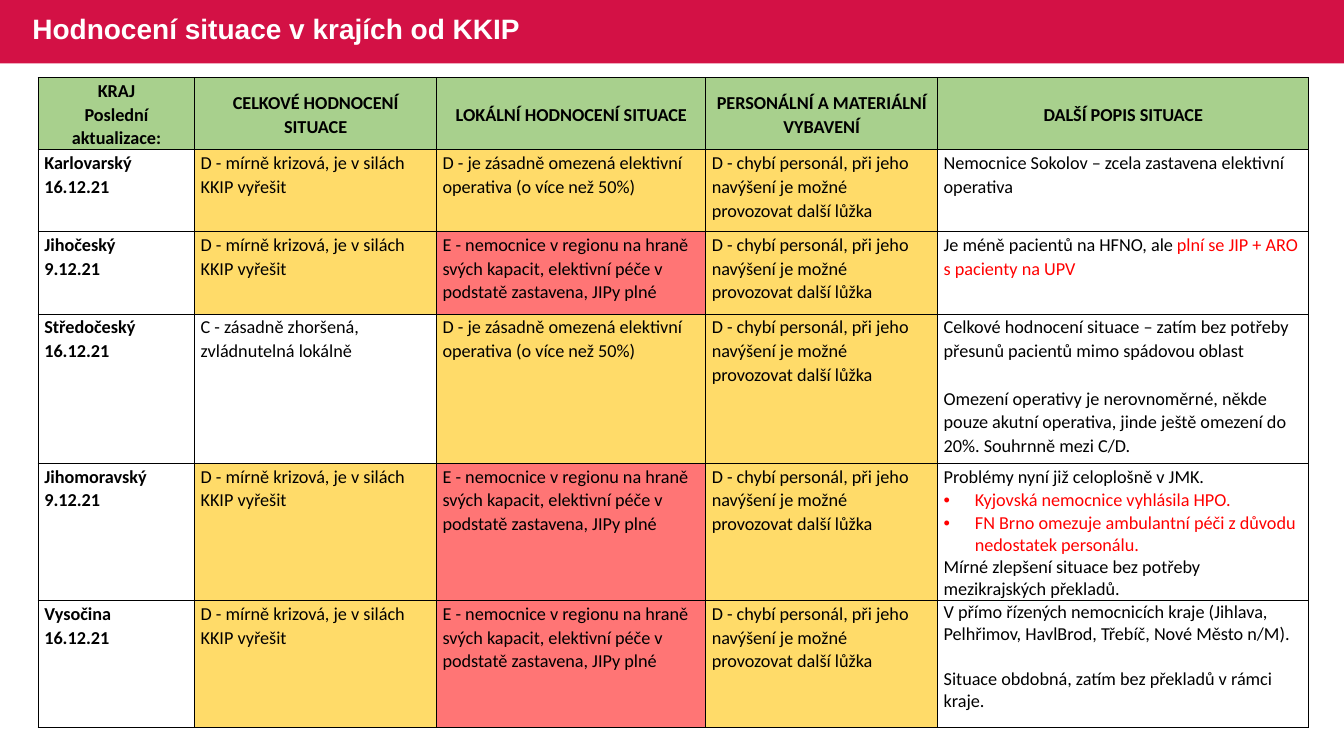
from lxml import etree
from pptx import Presentation
from pptx import util as u
from pptx.dml.color import RGBColor
from pptx.enum import shapes, text
from pptx.oxml import ns

CRIMSON = RGBColor(0xD3, 0x11, 0x45)
GREEN = RGBColor(0xA8, 0xD0, 0x8D)
AMBER = RGBColor(0xFF, 0xDB, 0x69)
CORAL = RGBColor(0xFF, 0x75, 0x75)
RED = RGBColor(0xFF, 0x00, 0x00)
BLACK = RGBColor(0x00, 0x00, 0x00)
WHITE = RGBColor(0xFF, 0xFF, 0xFF)

# Rating scale: the first letter of a rating sets the cell colour
SCALE = {"C": WHITE, "D": AMBER, "E": CORAL}
MILD = "D - mírně krizová, je v silách KKIP vyřešit"
WORSE = "C - zásadně zhoršená, zvládnutelná lokálně"
LIMIT = "D - je zásadně omezená elektivní operativa (o více než 50%)"
EDGE = ("E - nemocnice v regionu na hraně svých kapacit, elektivní péče v "
        "podstatě zastavena, JIPy plné")
STAFF = ("D - chybí personál, při jeho navýšení je možné provozovat "
         "další lůžka")

COLS = [1.55, 2.4, 2.67, 2.3, 3.68]
ROWS = [0.66, 0.81, 0.82, 1.48, 1.24, 1.26]
HEADS = [["KRAJ", "Poslední aktualizace:"],
         ["CELKOVÉ HODNOCENÍ SITUACE"],
         ["LOKÁLNÍ HODNOCENÍ SITUACE"],
         ["PERSONÁLNÍ A MATERIÁLNÍ VYBAVENÍ"],
         ["DALŠÍ POPIS SITUACE"]]

# Region, date, overall and local rating, notes as (text, format)
REGIONS = [
    ("Karlovarský", "16.12.21", MILD, LIMIT, [
        ("Nemocnice Sokolov – zcela zastavena elektivní operativa", {})]),
    ("Jihočeský", "9.12.21", MILD, EDGE, [
        ("Je méně pacientů na HFNO, ale ", {}),
        ("plní se JIP + ARO s pacienty na UPV",
         dict(color=RED, join=True))]),
    ("Středočeský", "16.12.21", WORSE, LIMIT, [
        ("Celkové hodnocení situace – zatím bez potřeby přesunů pacientů "
         "mimo spádovou oblast", {}),
        ("Omezení operativy je nerovnoměrné, někde pouze akutní operativa, "
         "jinde ještě omezení do 20%. Souhrnně mezi C/D.",
         dict(before=17))]),
    ("Jihomoravský", "9.12.21", MILD, EDGE, [
        ("Problémy nyní již celoplošně v JMK.", {}),
        ("Kyjovská nemocnice vyhlásila HPO.", dict(color=RED, bullet=True)),
        ("FN Brno omezuje ambulantní péči z důvodu nedostatek personálu.",
         dict(color=RED, bullet=True, lines=1.0)),
        ("Mírné zlepšení situace bez potřeby mezikrajských překladů.",
         dict(lines=1.0))]),
    ("Vysočina", "16.12.21", MILD, EDGE, [
        ("V přímo řízených nemocnicích kraje (Jihlava, Pelhřimov, HavlBrod, "
         "Třebíč, Nové Město n/M).", dict(lines=1.0)),
        ("Situace obdobná, zatím bez překladů v rámci kraje.",
         dict(lines=1.0, before=16))]),
]


def write(frame, words, size=13, face="Calibri", color=BLACK, bold=False,
          align=text.PP_ALIGN.LEFT, lines=1.07, before=0, bullet=False,
          join=False):
    """Add a paragraph, or with join a run to the last paragraph."""
    par = frame.paragraphs[-1]
    if not join:
        if par.runs:
            par = frame.add_paragraph()
        if bullet:
            props = par._p.get_or_add_pPr()
            props.set("marL", str(u.Inches(0.31)))
            props.set("indent", str(-u.Inches(0.31)))
            font = etree.SubElement(props, ns.qn("a:buFont"))
            font.set("typeface", "Arial")
            etree.SubElement(props, ns.qn("a:buChar")).set("char", "•")
        par.alignment = align
        par.line_spacing = lines
        if before:
            par.space_before = u.Pt(before)
    run = par.add_run()
    run.text = words
    run.font.size = u.Pt(size)
    run.font.name = face
    run.font.bold = bold
    run.font.color.rgb = color


def style(cell, fill):
    """Set margins, black borders and fill of a cell."""
    cell.margin_left = cell.margin_right = u.Inches(0.06)
    cell.margin_top, cell.margin_bottom = u.Inches(0.01), 0
    props = cell._tc.get_or_add_tcPr()
    for side in ("lnL", "lnR", "lnT", "lnB"):
        line = etree.SubElement(props, ns.qn("a:" + side), w=str(u.Pt(1)))
        paint = etree.SubElement(line, ns.qn("a:solidFill"))
        etree.SubElement(paint, ns.qn("a:srgbClr"), val=str(BLACK))
    cell.fill.solid()
    cell.fill.fore_color.rgb = fill


def banner(slide, left, top, width, height):
    """Coloured bar with the slide title."""
    bar = slide.shapes.add_shape(shapes.MSO_SHAPE.RECTANGLE, u.Inches(left),
                                 u.Inches(top), u.Inches(width),
                                 u.Inches(height))
    bar.shadow.inherit = False
    bar.fill.solid()
    bar.fill.fore_color.rgb = CRIMSON
    bar.line.fill.background()

    # Title stands in front of the bar
    title = slide.shapes.title
    bar._element.addnext(title._element)
    title.left, title.top = u.Inches(left + 0.22), u.Inches(top - 0.01)
    title.width, title.height = u.Inches(8.14), u.Inches(height)
    frame = title.text_frame
    frame.word_wrap = True
    frame.vertical_anchor = text.MSO_ANCHOR.MIDDLE
    write(frame, "Hodnocení situace v krajích od KKIP", size=20,
          face="Arial", color=WHITE, bold=True, lines=0.9)


def grid(slide, left, top, width, height):
    """Table of regions and their ratings."""
    table = slide.shapes.add_table(len(ROWS), len(COLS), u.Inches(left),
                                   u.Inches(top), u.Inches(width),
                                   u.Inches(height)).table
    table.first_row = table.horz_banding = False
    for col, size in zip(table.columns, COLS):
        col.width = u.Inches(size)
    for row, size in zip(table.rows, ROWS):
        row.height = u.Inches(size)

    # Header row
    for cell, head in zip(table.rows[0].cells, HEADS):
        style(cell, GREEN)
        cell.vertical_anchor = text.MSO_ANCHOR.MIDDLE
        for words in head:
            write(cell.text_frame, words, bold=True,
                  align=text.PP_ALIGN.CENTER)

    # Region rows
    for num, (name, date, total, local, notes) in enumerate(REGIONS, 1):
        first, *rated, last = table.rows[num].cells
        style(first, WHITE)
        for words in (name, date):
            write(first.text_frame, words, bold=True)
        for cell, rating in zip(rated, (total, local, STAFF)):
            style(cell, SCALE[rating[0]])
            write(cell.text_frame, rating)
        style(last, WHITE)
        for words, form in notes:
            write(last.text_frame, words, **form)


def main():
    deck = Presentation()
    deck.slide_width, deck.slide_height = u.Inches(13.33), u.Inches(7.5)
    slide = deck.slides.add_slide(deck.slide_layouts[5])
    banner(slide, 0, 0, 13.33, 0.63)
    grid(slide, 0.38, 0.77, sum(COLS), sum(ROWS))
    deck.save("out.pptx")


if __name__ == "__main__":
    main()
